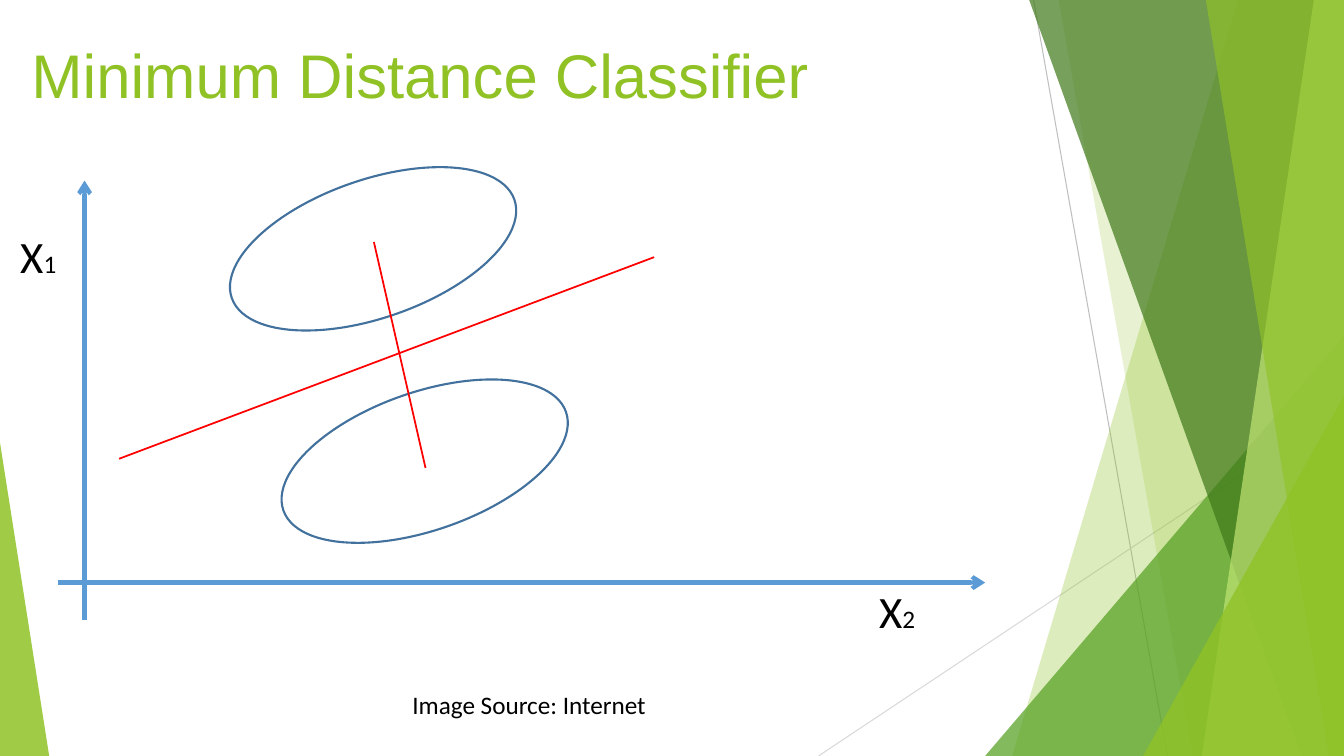
from lxml.etree import SubElement
from pptx import Presentation
from pptx.dml.color import RGBColor
from pptx.enum.shapes import MSO_CONNECTOR, MSO_SHAPE
from pptx.oxml.ns import qn
from pptx.util import Cm, Pt

COLORS = {
    "lime": "90C226", "green": "54A021", "forest": "3F7819", "pale": "C0E474",
    "grey": "BFBFBF", "light grey": "D9D9D9", "axis": "5B9BD5",
    "cluster": "41719C", "red": "FF0000", "black": "000000",
}
WIDTH, HEIGHT = 33.86, 19.05

deck = Presentation()
deck.slide_width, deck.slide_height = Cm(WIDTH), Cm(HEIGHT)
slide = deck.slides.add_slide(deck.slide_layouts[6])
shapes = slide.shapes


def draw_line(start, end, color, weight, arrow=False):
    """Draw a straight line between two points in cm."""
    line = shapes.add_connector(MSO_CONNECTOR.STRAIGHT, *map(Cm, start + end))
    line.line.color.rgb = RGBColor.from_string(COLORS[color])
    line.line.width = Pt(weight)
    if arrow:
        SubElement(line.line._get_or_add_ln(), qn("a:tailEnd"), type="arrow")
    SubElement(line._element.spPr, qn("a:effectLst"))


def write(box, runs, font, color):
    """Write one line of (text, size) runs into a box given in cm."""
    frame = shapes.add_textbox(*map(Cm, box)).text_frame
    frame.word_wrap = False
    frame.margin_left = frame.margin_top = Cm(0.03)
    frame.margin_right = frame.margin_bottom = 0
    line = frame.paragraphs[0]
    line.space_before = Pt(1)
    for text, size in runs:
        run = line.add_run()
        run.text = text
        run.font.name, run.font.size = font, Pt(size)
        run.font.color.rgb = RGBColor.from_string(COLORS[color])


draw_line((26.04, 0), (29.41, HEIGHT), "grey", 0.75)
draw_line((WIDTH, 10.24), (20.62, HEIGHT), "light grey", 0.75)

# Bands reach the right edge: (top x, bottom x).
# Triangles stand on the bottom edge: (left, width, height, apex).
facets = [
    ("lime", 30, (31.19, 25.5)),
    ("lime", 20, (26.67, 30.05)),
    ("green", 72, (24.82, 9.04, 10.59, 1)),
    ("forest", 70, (25.93, 32.79)),
    ("pale", 70, (33.1, 30.28)),
    ("lime", 65, (30.38, 33.48)),
    ("lime", 80, (28.8, 5.06, 9.07, 1)),
    ("lime", 85, (0, 1.24, 7.9, 0)),
]
for color, opacity, geometry in facets:
    if len(geometry) == 2:
        top, bottom = geometry
        outline = shapes.build_freeform(Cm(top), 0)
        outline.add_line_segments(
            [(Cm(x), Cm(y)) for x, y in
             ((WIDTH, 0), (WIDTH, HEIGHT), (bottom, HEIGHT))])
        facet = outline.convert_to_shape()
    else:
        left, width, height, apex = geometry
        facet = shapes.add_shape(
            MSO_SHAPE.ISOSCELES_TRIANGLE,
            Cm(left), Cm(HEIGHT - height), Cm(width), Cm(height))
        facet.adjustments[0] = apex
    facet.shadow.inherit = False
    facet.line.fill.background()
    facet.fill.solid()
    facet.fill.fore_color.rgb = RGBColor.from_string(COLORS[color])
    tint = facet._element.spPr.find(qn("a:solidFill"))[0]
    SubElement(tint, qn("a:alpha"), val=str(opacity * 1000))

draw_line((2.13, 15.62), (2.13, 4.55), "axis", 3, arrow=True)
draw_line((1.45, 14.68), (24.82, 14.68), "axis", 3, arrow=True)

write((0.48, 5.74, 1, 1.42), [("X", 32), ("1", 18)], "Calibri", "black")
write((22.12, 14.68, 1, 1.42), [("X", 32), ("2", 18)], "Calibri", "black")
write((10.36, 17.35, 5.97, 0.84), [("Image Source: Internet", 18)],
      "Calibri", "black")
write((0.76, 0.91, 19.66, 1.93), [("Minimum Distance Classifier", 44)],
      "Arial", "lime")

# Clusters and the line joining their centres.
centers = [(9.4, 6.27), (10.7, 11.62)]
cluster_width, cluster_height = 7.54, 3.48
for x, y in centers:
    cluster = shapes.add_shape(
        MSO_SHAPE.OVAL, Cm(x - cluster_width / 2), Cm(y - cluster_height / 2),
        Cm(cluster_width), Cm(cluster_height))
    cluster.rotation = -19.2
    cluster.shadow.inherit = False
    cluster.fill.background()
    cluster.line.color.rgb = RGBColor.from_string(COLORS["cluster"])
    cluster.line.width = Pt(1.5)

draw_line((9.42, 6.1), (10.72, 11.79), "red", 1.25)
draw_line((3, 11.56), (16.48, 6.48), "red", 1.25)

deck.save("out.pptx")
